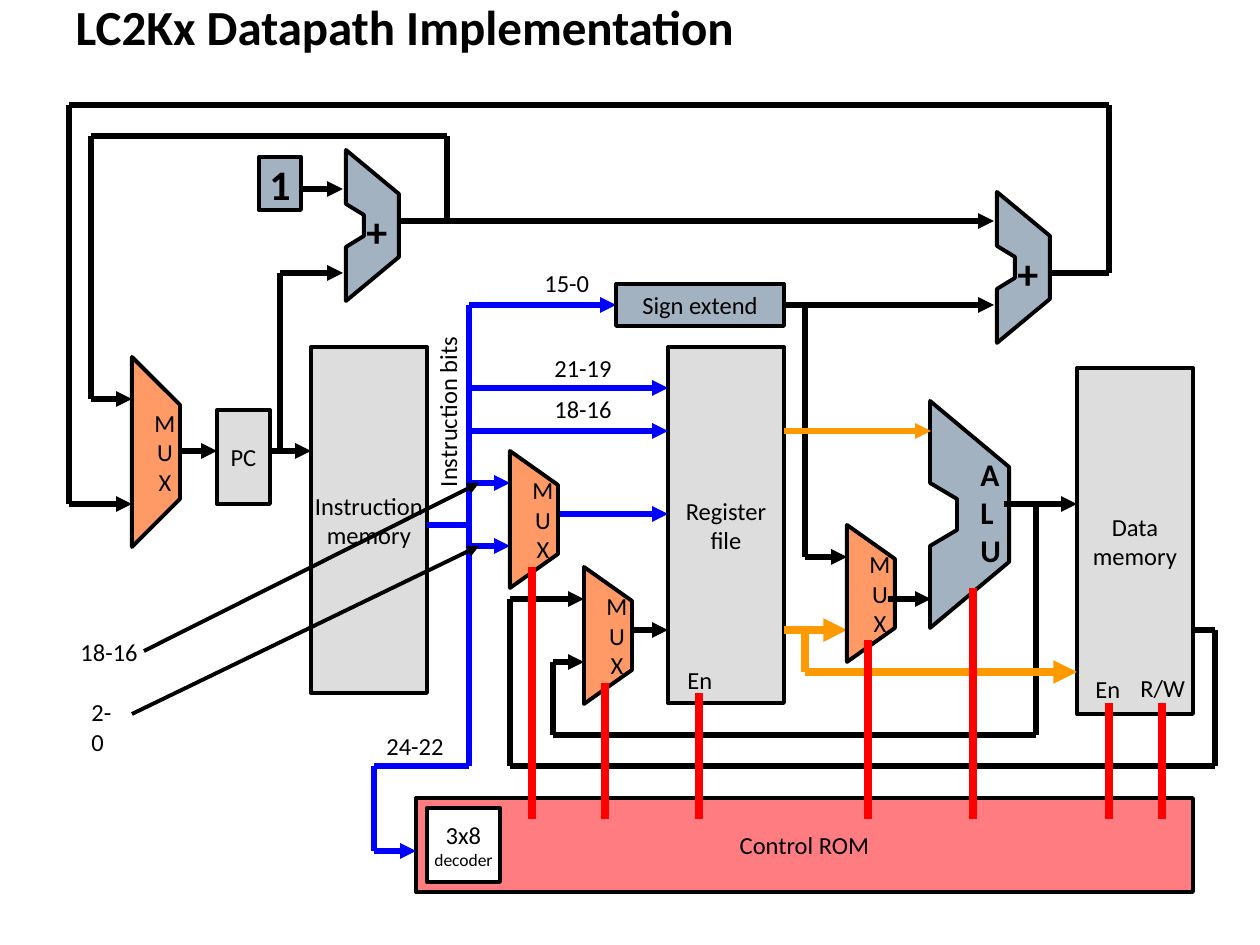
from itertools import pairwise

from lxml.etree import SubElement
from pptx import Presentation
from pptx.dml.color import RGBColor
from pptx.enum.shapes import MSO_CONNECTOR as CONNECTOR, MSO_SHAPE as SHAPE
from pptx.enum.text import MSO_ANCHOR as ANCHOR, MSO_AUTO_SIZE as AUTO_SIZE, PP_ALIGN as ALIGN
from pptx.oxml.ns import qn
from pptx.util import Pt

PX = 914400 / 126
BLACK, WHITE, RED, BLUE, AMBER = "000000", "FFFFFF", "FF0000", "0000FF", "FF9900"
GREY, STEEL, ORANGE, PINK = "DDDDDD", "A3B2C1", "FF9966", "FF7C80"

MUX_OUTLINE = [(0, 0), (1, 0.25), (1, 0.75), (0, 1)]
ADDER_OUTLINE = [(0, 0), (1, 0.29), (1, 0.71), (0, 1), (0, 0.64),
                 (0.34, 0.57), (0.34, 0.43), (0, 0.36)]

BLOCKS = [
    ("PC", 217, 410, 53, 94, GREY),
    ("Instruction\nmemory", 311, 347, 116, 346, GREY),
    ("Register\nfile", 668, 347, 116, 356, GREY),
    ("Data\nmemory", 1077, 368, 116, 346, GREY),
    ("Control ROM", 416, 798, 777, 94, PINK),
]
WIRES = [
    ([(784, 305), (994, 305)], BLACK, 3, True),
    ([(396, 221), (994, 221)], BLACK, 3, True),
    ([(447, 221), (447, 136), (91, 136), (91, 399), (132, 399)], BLACK, 3, True),
    ([(270, 451), (311, 451)], BLACK, 3, True),
    ([(280, 451), (280, 273), (343, 273)], BLACK, 3, True),
    ([(301, 189), (343, 189)], BLACK, 3, True),
    ([(1046, 273), (1109, 273), (1109, 105), (69, 105), (69, 504), (132, 504)], BLACK, 3, True),
    ([(175, 451), (217, 451)], BLACK, 3, True),
    ([(784, 630), (847, 630)], AMBER, 4.5, True),
    ([(1193, 630), (1215, 630), (1215, 766), (510, 766), (510, 599), (584, 599)], BLACK, 3, True),
    ([(805, 305), (805, 557), (847, 557)], BLACK, 3, True),
    ([(626, 630), (668, 630)], BLACK, 3, True),
    ([(427, 525), (469, 525)], BLUE, 3, False),
    ([(469, 388), (668, 388)], BLUE, 3, True),
    ([(469, 431), (668, 431)], BLUE, 3, True),
    ([(469, 483), (510, 483)], BLUE, 3, True),
    ([(469, 546), (510, 546)], BLUE, 3, True),
    ([(553, 514), (668, 514)], BLUE, 3, True),
    ([(469, 305), (616, 305)], BLUE, 3, True),
    ([(469, 305), (469, 766), (374, 766), (374, 851), (416, 851)], BLUE, 3, True),
]
MUXES = [(132, 357, 190), (510, 451, 137), (584, 567, 137), (847, 525, 137)]
ADDERS = [(346, 150), (997, 192)]
FRONT_WIRES = [
    ([(1004, 504), (1077, 504)], BLACK, 3, True),
    ([(1036, 504), (1036, 735), (553, 735), (553, 662), (584, 662)], BLACK, 3, True),
    ([(888, 599), (931, 599)], BLACK, 3, True),
    ([(784, 431), (931, 431)], AMBER, 3, True),
    ([(805, 630), (805, 672), (1077, 672)], AMBER, 4.5, True),
]
CONTROL_LINES = [(532, 567), (605, 683), (868, 640), (973, 588),
                 (1109, 703), (1162, 703), (699, 693)]
LABELS = [
    ("R/W", 1128, 667, 70), ("En", 1083, 668, 51), ("En", 675, 659, 51),
    ("15-0", 532, 262, 70), ("21-19", 542, 347, 83), ("18-16", 542, 388, 83),
    ("24-22", 374, 725, 83), ("18-16", 68, 631, 83), ("2-0", 79, 691, 57),
]
POINTERS = [[(144, 651), (479, 483)], [(132, 714), (479, 546)]]


def px(n):
    """Turn pixels into EMU."""
    return round(n * PX)


def rgb(code):
    """Turn a hex string into a colour."""
    return RGBColor.from_string(code)


def write(sp, text, size=14, bold=False, align=ALIGN.CENTER, anchor=ANCHOR.MIDDLE):
    """Put formatted unwrapped text into a shape."""
    tf = sp.text_frame
    tf.text = text
    tf.word_wrap = False
    tf.vertical_anchor = anchor
    for p in tf.paragraphs:
        p.alignment = align
        for r in p.runs:
            r.font.name = "Calibri"
            r.font.size = Pt(size)
            r.font.bold = bold
            r.font.color.rgb = rgb(BLACK)
    return tf


def paint(sp, fill):
    """Give a shape its fill and black outline."""
    sp.shadow.inherit = False
    sp.fill.solid()
    sp.fill.fore_color.rgb = rgb(fill)
    sp.line.color.rgb = rgb(BLACK)
    sp.line.width = Pt(2.25)


def add_title(slide, text):
    """Place the slide title."""
    sp = slide.shapes.title
    sp.left, sp.top, sp.width, sp.height = px(63), px(-10), px(1197), px(116)
    tf = write(sp, text, 28, True, ALIGN.LEFT, ANCHOR.TOP)
    tf.word_wrap = True
    tf.auto_size = AUTO_SIZE.NONE


def add_block(slide, text, x, y, w, h, fill, size=14, bold=False):
    """Add a captioned rectangle."""
    sp = slide.shapes.add_shape(SHAPE.RECTANGLE, px(x), px(y), px(w), px(h))
    paint(sp, fill)
    return write(sp, text, size, bold)


def add_unit(slide, outline, x, y, w, h, fill):
    """Add a polygon whose outline is scaled to the given box."""
    points = [(x + round(u * w), y + round(v * h)) for u, v in outline]
    builder = slide.shapes.build_freeform(*points[0], scale=PX)
    builder.add_line_segments(points[1:], close=True)
    sp = builder.convert_to_shape()
    paint(sp, fill)
    return sp


def add_mux(slide, x, y, h):
    """Add a multiplexer with its stacked letters."""
    sp = add_unit(slide, MUX_OUTLINE, x, y, 48, h, ORANGE)
    tf = write(sp, "M\nU\nX")
    tf.margin_left, tf.margin_right = px(18), 0


def add_label(slide, text, x, y, w, h=43, size=14, bold=False, rotation=0):
    """Add a plain text label."""
    sp = slide.shapes.add_textbox(px(x), px(y), px(w), px(h))
    sp.rotation = rotation
    write(sp, text, size, bold, ALIGN.LEFT, ANCHOR.TOP)


def add_wire(slide, points, color=BLACK, width=3, arrow=False):
    """Join points with straight lines, with an optional arrowhead at the end."""
    for start, end in pairwise(points):
        line = slide.shapes.add_connector(CONNECTOR.STRAIGHT, *map(px, start + end))
        line.line.color.rgb = rgb(color)
        line.line.width = Pt(width)
        if arrow and end == points[-1]:
            SubElement(line.line._get_or_add_ln(), qn("a:tailEnd"), type="triangle")
        SubElement(line._element.spPr, qn("a:effectLst"))


def main():
    """Build the datapath slide."""
    prs = Presentation()
    prs.slide_width, prs.slide_height = px(1260), px(945)
    slide = prs.slides.add_slide(prs.slide_layouts[5])
    add_title(slide, "LC2Kx Datapath Implementation")
    for block in BLOCKS:
        add_block(slide, *block)
    for wire in WIRES:
        add_wire(slide, *wire)
    for mux in MUXES:
        add_mux(slide, *mux)
    add_block(slide, "Sign extend", 616, 284, 168, 42, STEEL)
    add_block(slide, "1", 259, 157, 42, 53, STEEL, 24, True)
    for x, y in ADDERS:
        add_unit(slide, ADDER_OUTLINE, x, y, 53, 151, STEEL)
        add_label(slide, "+", x + 8, y + 49, 47, 64, 24, True)
    add_unit(slide, ADDER_OUTLINE, 930, 401, 79, 227, STEEL)
    add_label(slide, "A\nL\nU", 968, 449, 47, 127, 18, True)
    for wire in FRONT_WIRES:
        add_wire(slide, *wire)
    decoder = add_block(slide, "3x8\ndecoder", 427, 808, 73, 74, WHITE)
    decoder.paragraphs[1].runs[0].font.size = Pt(10)
    for x, top in CONTROL_LINES:
        add_wire(slide, [(x, top), (x, 819)], RED, 4.5)
    for label in LABELS:
        add_label(slide, *label)
    add_label(slide, "Instruction bits", 359, 389, 178, rotation=270)
    for pointer in POINTERS:
        add_wire(slide, pointer, BLACK, 2.25, True)
    prs.save("out.pptx")


if __name__ == "__main__":
    main()
